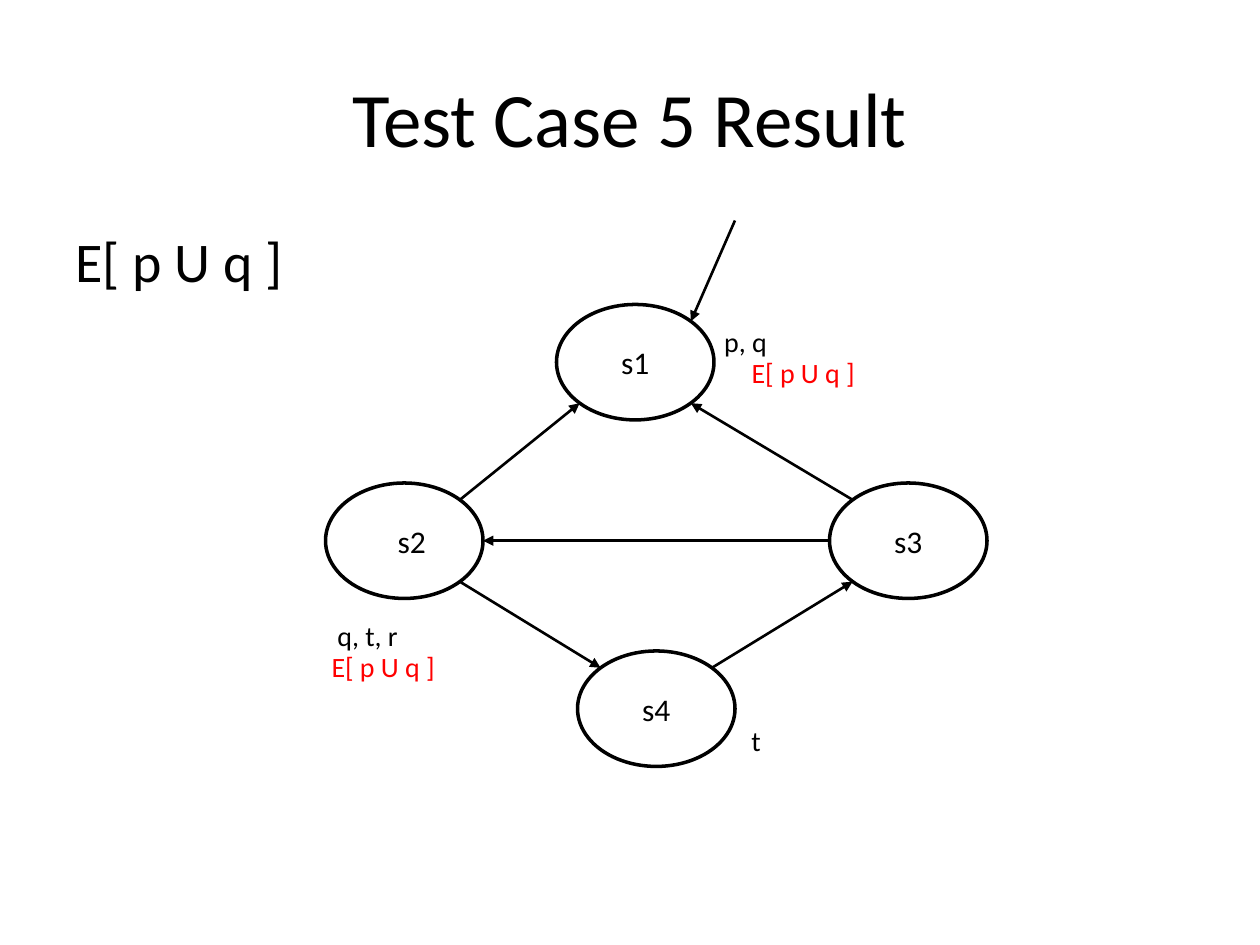
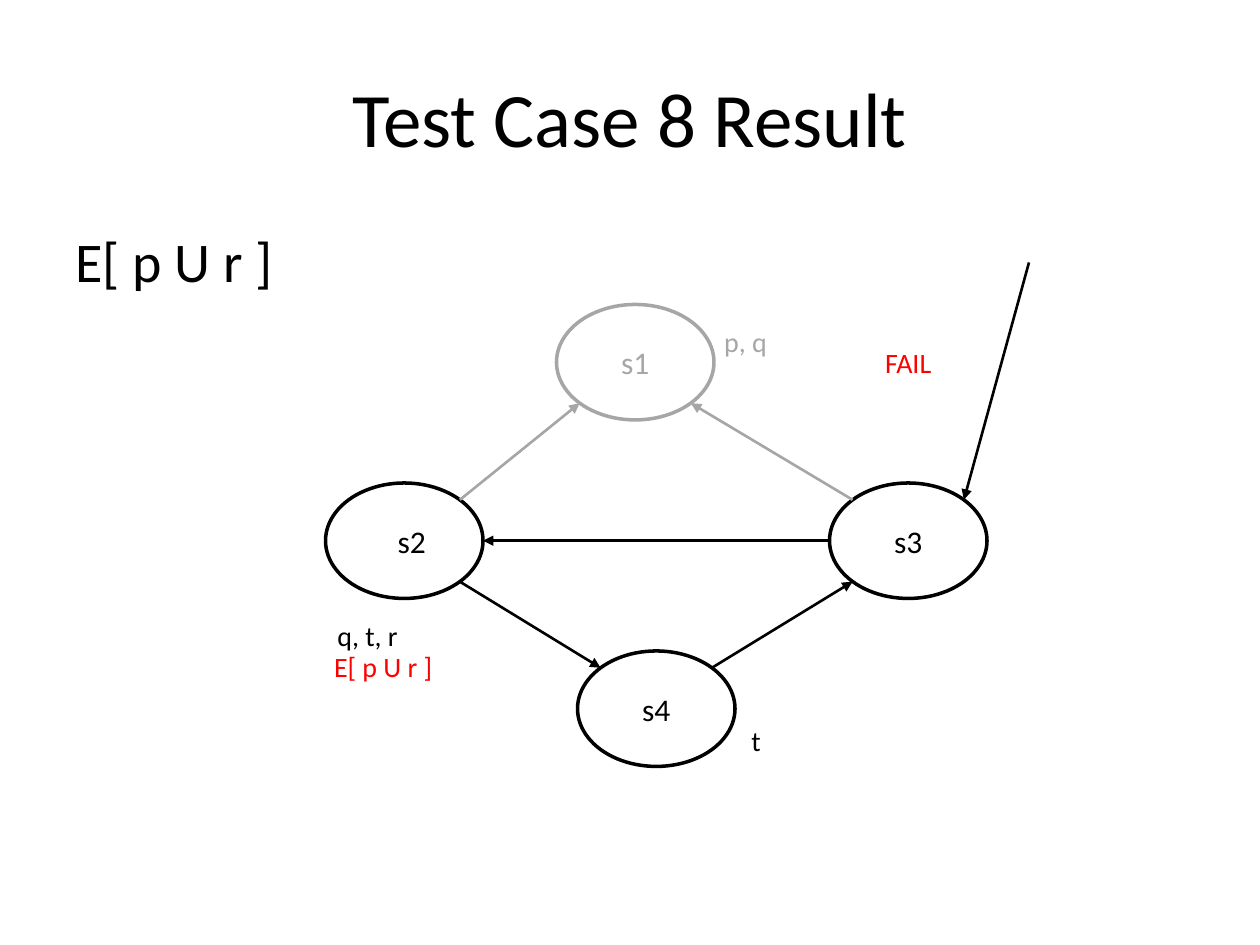
"""Build two result slides that share one state diagram with labelled states."""
from math import hypot

from lxml.etree import SubElement
from pptx import Presentation
from pptx.dml.color import RGBColor
from pptx.enum.shapes import MSO_CONNECTOR as Connector, MSO_SHAPE as Shape
from pptx.enum.text import MSO_ANCHOR as Anchor, PP_ALIGN as Align
from pptx.oxml.ns import qn
from pptx.util import Emu, Pt

PX = 914400 // 120
THEME = {
    "font": "Calibri",
    "ink": RGBColor(0, 0, 0),
    "faded": RGBColor(0xA6, 0xA6, 0xA6),
    "result": RGBColor(0xFF, 0, 0),
    "paper": RGBColor(0xFF, 0xFF, 0xFF),
    "title": Pt(44), "formula": Pt(32), "state": Pt(18), "label": Pt(16),
    "outline": Pt(2), "arrow": Pt(1.5),
}
STATE_W, STATE_H = 150, 110
LABEL_W, RESULT_W, LABEL_H = 100, 130, 70
INDENT = 45
S2_INSET = 26

STATES = {"s4": (550, 620), "s3": (790, 460), "s2": (310, 460), "s1": (530, 290)}
ARROWS = [
    ("s1", (-1, 1), "s2", (1, -1)),
    ("s1", (1, 1), "s3", (-1, -1)),
    ("s3", (-1, 1), "s4", (1, -1)),
    ("s4", (-1, -1), "s2", (1, 1)),
    ("s2", (1, 0), "s3", (-1, 0)),
]
LABELS = [("s1", "p, q", 660, 290), ("s4", "t", 670, 670), ("s2", "q, t, r", 300, 570)]
SLIDES = [
    {"title": "Test Case 5 Result", "formula": "E[ p U q ]", "faded": [],
     "entry": ("s1", (700, 210)),
     "results": [("E[ p U q ]", 300, 600), ("E[ p U q ]", 700, 320)]},
    {"title": "Test Case 8 Result", "formula": "E[ p U r ]", "faded": ["s1"],
     "entry": ("s3", (980, 250)),
     "results": [("E[ p U r ]", 300, 600), ("FAIL", 800, 310)]},
]


def rim_point(state, direction):
    left, top = STATES[state]
    across, down = direction
    reach = hypot(across, down)
    return (round(left + STATE_W / 2 * (1 + across / reach)),
            round(top + STATE_H / 2 * (1 + down / reach)))


def write(box, text, size, color, align=Align.CENTER, anchor=Anchor.MIDDLE):
    frame = box.text_frame
    for name, value in {"text": text, "word_wrap": True, "vertical_anchor": anchor}.items():
        setattr(frame, name, value)
    para = frame.paragraphs[0]
    para.alignment = align
    span = para.runs[0]
    for name, value in {"name": THEME["font"], "size": THEME[size]}.items():
        setattr(span.font, name, value)
    span.font.color.rgb = THEME[color]
    return para


deck = Presentation()
deck.slide_width, deck.slide_height = Emu(1200 * PX), Emu(900 * PX)

for content in SLIDES:
    page = deck.slides.add_slide(deck.slide_layouts[1])
    title, body = page.shapes.title, page.placeholders[1]
    for box, top, height in ((title, 36, 150), (body, 210, 594)):
        place = {"left": 60, "top": top, "width": 1080, "height": height}
        for name, value in place.items():
            setattr(box, name, Emu(value * PX))
    write(title, content["title"], "title", "ink")
    para = write(body, content["formula"], "formula", "ink", Align.LEFT, Anchor.TOP)
    para.space_before = Pt(0)
    properties = para._p.get_or_add_pPr()
    properties.set("marL", str(INDENT * PX))
    properties.set("indent", str(-INDENT * PX))
    SubElement(properties, qn("a:buNone"))

    tones = {state: "faded" if state in content["faded"] else "ink" for state in STATES}

    for state, (left, top) in STATES.items():
        oval = page.shapes.add_shape(
            Shape.OVAL, *(Emu(value * PX) for value in (left, top, STATE_W, STATE_H)))
        oval.shadow.inherit = False
        oval.fill.solid()
        oval.fill.fore_color.rgb = THEME["paper"]
        oval.line.color.rgb = THEME[tones[state]]
        oval.line.width = THEME["outline"]
        write(oval, state, "state", tones[state])
        if state == "s2":
            oval.text_frame.margin_left = Emu(S2_INSET * PX)

    arrows = [(rim_point(target, head), rim_point(source, tail), tones[target])
              for target, head, source, tail in ARROWS]
    entry_state, entry_start = content["entry"]
    arrows.append((rim_point(entry_state, (1, -1)), entry_start, "ink"))
    for tip, start, tone in arrows:
        arrow = page.shapes.add_connector(
            Connector.STRAIGHT, *(Emu(value * PX) for value in (*tip, *start)))
        arrow.line.color.rgb = THEME[tone]
        arrow.line.width = THEME["arrow"]
        SubElement(arrow.line._get_or_add_ln(), qn("a:headEnd"), type="triangle")
        SubElement(arrow._element.spPr, qn("a:effectLst"))

    notes = [(text, left, top, LABEL_W, tones[state]) for state, text, left, top in LABELS]
    notes += [(*result, RESULT_W, "result") for result in content["results"]]
    for text, left, top, width, tone in notes:
        box = page.shapes.add_textbox(
            *(Emu(value * PX) for value in (left, top, width, LABEL_H)))
        write(box, text, "label", tone)

deck.save("out.pptx")
